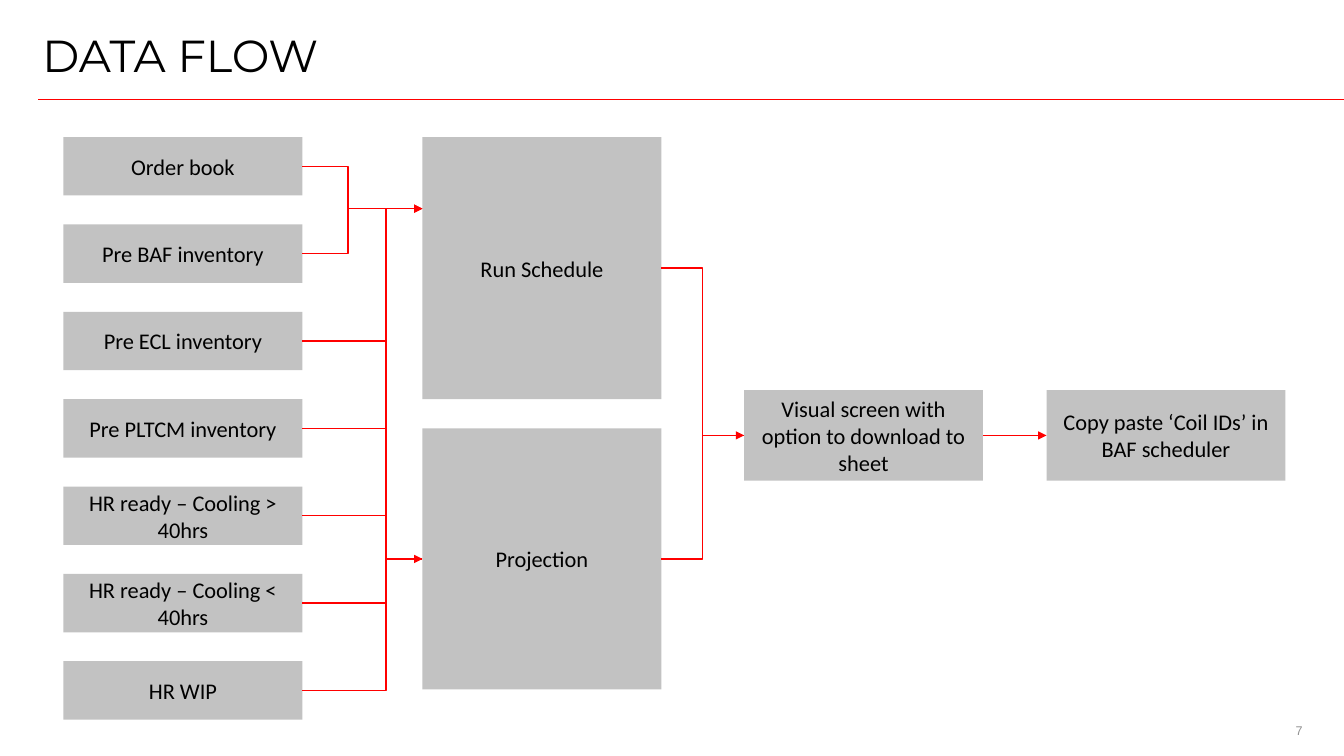
from lxml import etree
from pptx import Presentation
from pptx.dml.color import RGBColor
from pptx.enum.shapes import MSO_CONNECTOR, MSO_SHAPE
from pptx.enum.text import MSO_ANCHOR, MSO_AUTO_SIZE, PP_ALIGN
from pptx.oxml.ns import qn
from pptx.util import Pt

EMU_PER_PX = 9144  # 100 px to the inch
RED = RGBColor(0xFF, 0x00, 0x00)
GREY = RGBColor(0xC2, 0xC2, 0xC2)
PAGE_GREY = RGBColor(0x91, 0x91, 0x91)
BLACK = RGBColor(0x00, 0x00, 0x00)
RECTANGLE = MSO_SHAPE.RECTANGLE
STRAIGHT, ELBOW = MSO_CONNECTOR.STRAIGHT, MSO_CONNECTOR.ELBOW
LEFT, CENTER, RIGHT = PP_ALIGN.LEFT, PP_ALIGN.CENTER, PP_ALIGN.RIGHT
TOP, MIDDLE = MSO_ANCHOR.TOP, MSO_ANCHOR.MIDDLE
NO_AUTOFIT = MSO_AUTO_SIZE.NONE
LEFT_SITE, RIGHT_SITE = 1, 3

BOX_WIDTH = 237
SOURCES = [
    "Order book",
    "Pre BAF inventory",
    "Pre ECL inventory",
    "Pre PLTCM inventory",
    "HR ready – Cooling > 40hrs",
    "HR ready – Cooling < 40hrs",
    "HR WIP",
]


def px(length):
    return round(length * EMU_PER_PX)


def set_text(shape, text, font_name, size, color, alignment, anchor):
    frame = shape.text_frame
    frame.text = text
    frame.word_wrap = True
    frame.auto_size = NO_AUTOFIT
    frame.vertical_anchor = anchor
    paragraph = frame.paragraphs[0]
    paragraph.alignment = alignment
    font = paragraph.runs[0].font
    font.name, font.size, font.color.rgb = font_name, Pt(size), color
    return paragraph


def clear_side_insets(shape):
    frame = shape.text_frame
    frame.margin_left = frame.margin_right = frame.margin_bottom = 0
    frame.margin_top = px(5)


def add_box(slide, text, left, top, height):
    shape = slide.shapes.add_shape(
        RECTANGLE, px(left), px(top), px(BOX_WIDTH), px(height))
    shape.shadow.inherit = False
    shape.fill.solid()
    shape.fill.fore_color.rgb = GREY
    shape.line.fill.background()
    set_text(shape, text, "Calibri", 16, BLACK, CENTER, MIDDLE)
    return shape


def add_line(slide, start, end, bend=None, arrow=False):
    """Draw a red line between two EMU points; bend is the x of its elbow."""
    kind = STRAIGHT if bend is None else ELBOW
    connector = slide.shapes.add_connector(kind, *start, *end)
    connector.line.color.rgb = RED
    connector.line.width = Pt(1)
    properties = connector._element.spPr
    if bend is not None:
        ratio = round((bend - start[0]) / (end[0] - start[0]) * 100000)
        guides = properties.find(qn("a:prstGeom")).get_or_add_avLst()
        etree.SubElement(guides, qn("a:gd"), name="adj1", fmla=f"val {ratio}")
    if arrow:
        line = properties.find(qn("a:ln"))
        etree.SubElement(line, qn("a:tailEnd"), type="triangle")
    etree.SubElement(properties, qn("a:effectLst"))
    return connector


def right_middle(shape):
    return shape.left + shape.width, shape.top + shape.height // 2


def link_to_point(slide, source, end, bend=None, arrow=False):
    connector = add_line(slide, right_middle(source), end, bend, arrow)
    connector.begin_connect(source, RIGHT_SITE)
    return connector


def link(slide, source, target, bend=None, arrow=False):
    end = target.left, target.top + target.height // 2
    connector = link_to_point(slide, source, end, bend, arrow)
    connector.end_connect(target, LEFT_SITE)


def add_heading(slide, left, top, width, height):
    title = slide.shapes.title
    title.left, title.top = px(left), px(top)
    title.width, title.height = px(width), px(height)
    paragraph = set_text(title, "DATA FLOW", "Montserrat", 32, BLACK, LEFT, TOP)
    paragraph.line_spacing = 0.7
    clear_side_insets(title)
    rule_y = px(top + height + 4)
    add_line(slide, (px(left - 4), rule_y), (px(1333), rule_y))


def add_page_number(slide, left, top, width, height):
    box = slide.shapes.add_textbox(px(left), px(top), px(width), px(height))
    set_text(box, "7", "Arial", 9, PAGE_GREY, RIGHT, TOP)
    clear_side_insets(box)


def add_sources(slide, left, top, height):
    box_height = 58
    pitch = (height - box_height) / (len(SOURCES) - 1)
    return [add_box(slide, text, left, top + index * pitch, box_height)
            for index, text in enumerate(SOURCES)]


def add_data_flow(slide, left, top, height):
    # Boxes
    sources = add_sources(slide, left, top, height)
    order_book, pre_baf, pre_ecl, pre_pltcm, hr_cooled, hr_warm, hr_wip = sources
    schedule = add_box(slide, "Run Schedule", left + 356, top, 260)
    projection = add_box(slide, "Projection", left + 356, top + 289, 259)
    screen = add_box(slide, "Visual screen with option to download to sheet",
                     left + 675, top + 251, 90)
    scheduler = add_box(slide, "Copy paste ‘Coil IDs’ in BAF scheduler",
                        left + 975, top + 251, 90)

    # Sources into the run schedule
    schedule_entry = schedule.left, px(top + 71)
    for source in (order_book, pre_baf):
        link_to_point(slide, source, schedule_entry, px(left + 282), arrow=True)

    # Shared trunk into the projection
    trunk = px(left + 320)
    link(slide, pre_ecl, projection, trunk, arrow=True)
    add_line(slide, (trunk, right_middle(pre_ecl)[1]), (trunk, schedule_entry[1]))
    for source in (pre_pltcm, hr_cooled):
        link_to_point(slide, source, (trunk, right_middle(source)[1]))
    for source in (hr_warm, hr_wip):
        link(slide, source, projection, trunk)

    # Results to the screen and on to the scheduler
    for result, arrow in ((schedule, True), (projection, False)):
        link(slide, result, screen, px(left + 634), arrow)
    link(slide, screen, scheduler, arrow=True)


def main():
    presentation = Presentation()
    presentation.slide_width, presentation.slide_height = px(1333), px(750)
    title_only = presentation.slide_layouts[5]
    slide = presentation.slides.add_slide(title_only)
    add_heading(slide, 42, 37, 1250, 58)
    add_data_flow(slide, 63, 136, 578)
    add_page_number(slide, 1234, 712, 58, 25)
    presentation.save("out.pptx")


if __name__ == "__main__":
    main()
